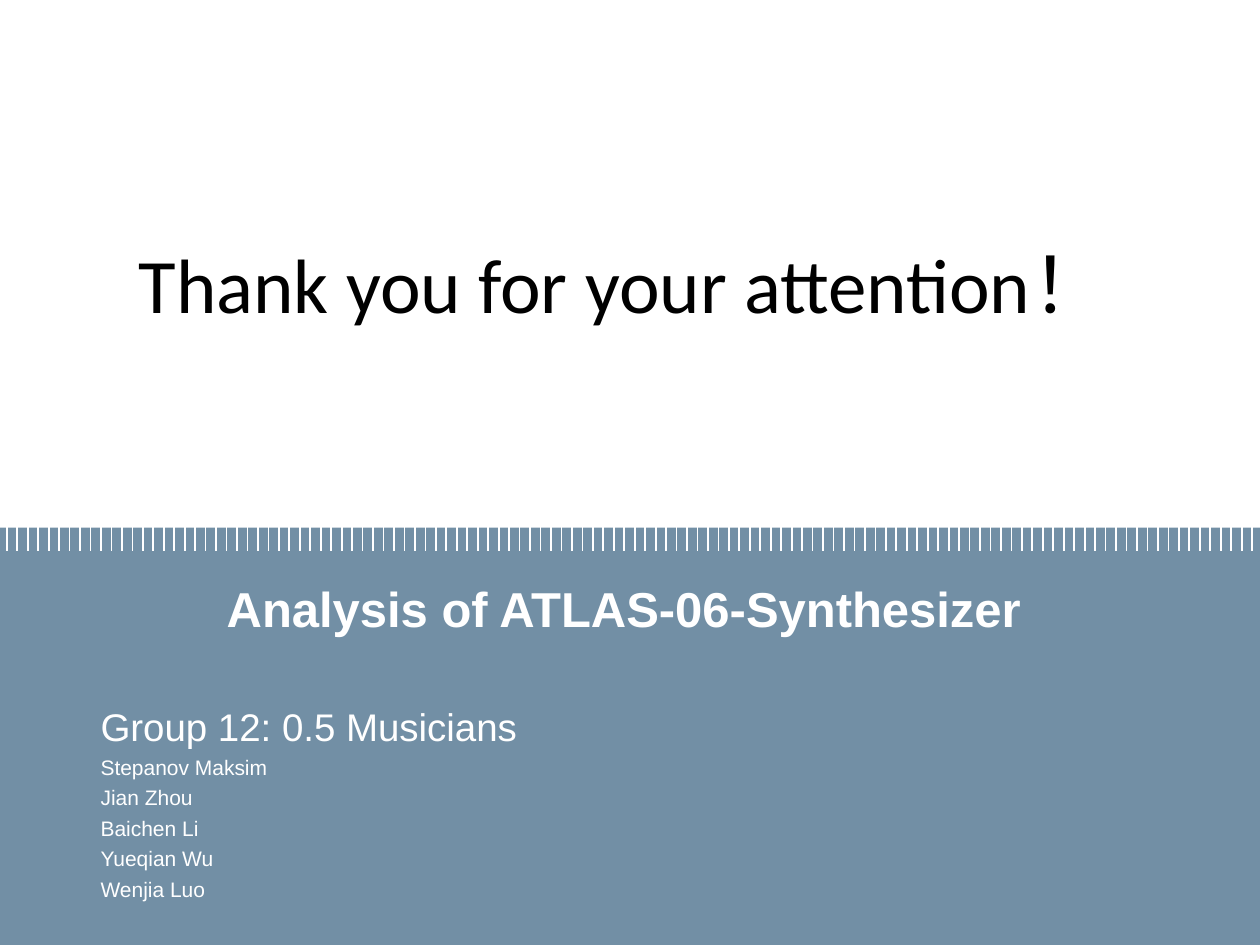
from dataclasses import dataclass

from pptx import Presentation
from pptx.dml.color import RGBColor
from pptx.enum.shapes import MSO_CONNECTOR, MSO_SHAPE
from pptx.enum.text import MSO_ANCHOR, PP_ALIGN
from pptx.oxml.ns import qn
from pptx.util import Pt
from lxml.etree import SubElement


@dataclass(frozen=True)
class Theme:
    band: RGBColor = RGBColor(0x72, 0x8F, 0xA5)
    white: RGBColor = RGBColor(0xFF, 0xFF, 0xFF)
    black: RGBColor = RGBColor(0, 0, 0)
    title_font: str = "Calibri"
    body_font: str = "Arial"
    title_size: int = 44
    heading_size: int = 28
    group_size: int = 22
    name_size: int = 12


theme = Theme()


def place(shape, left, top, width, height):
    """Position a text shape and set it to wrap from the top."""
    shape.left, shape.top = Pt(left), Pt(top)
    shape.width, shape.height = Pt(width), Pt(height)
    shape.text_frame.word_wrap = True
    shape.text_frame.vertical_anchor = MSO_ANCHOR.TOP


def write(paragraph, text, font_name, size, color, bold=False, align=PP_ALIGN.LEFT, before=3):
    paragraph.alignment = align
    paragraph.space_before = Pt(before)
    run = paragraph.add_run()
    run.text = text
    run.font.name = font_name
    run.font.size = Pt(size)
    run.font.bold = bold
    run.font.color.rgb = color


presentation = Presentation()
presentation.slide_width, presentation.slide_height = Pt(720), Pt(540)
slide = presentation.slides.add_slide(presentation.slide_layouts[5])

# Lower colour band
band = slide.shapes.add_shape(MSO_SHAPE.RECTANGLE, Pt(0), Pt(301.5), Pt(720), Pt(238.5))
band.shadow.inherit = False
band.fill.solid()
band.fill.fore_color.rgb = theme.band
band.line.fill.background()

# Comb of white teeth along the band's top edge
TOOTH_COUNT, FIRST_TOOTH, TOOTH_STEP = 120, 3.9, 5.98
comb = slide.shapes.add_group_shape()
for index in range(TOOTH_COUNT):
    x = Pt(FIRST_TOOTH + index * TOOTH_STEP)
    tooth = comb.shapes.add_connector(MSO_CONNECTOR.STRAIGHT, x, Pt(300), x, Pt(315))
    tooth.line.color.rgb = theme.white
    tooth.line.width = Pt(1)
    SubElement(tooth._element.spPr, qn("a:effectLst"))

# Title
title = slide.shapes.title
place(title, 21.6, 131.8, 669.6, 119.5)
write(title.text_frame.paragraphs[0], "Thank you for your attention！", theme.title_font,
      theme.title_size, theme.black, align=PP_ALIGN.CENTER, before=0)

# Project heading
heading = slide.shapes.add_textbox(0, 0, 0, 0)
place(heading, 50.4, 326.9, 612, 76.3)
write(heading.text_frame.paragraphs[0], "Analysis of ATLAS-06-Synthesizer", theme.body_font,
      theme.heading_size, theme.white, bold=True, align=PP_ALIGN.CENTER)

# Group and its members
members = slide.shapes.add_textbox(0, 0, 0, 0)
place(members, 50.4, 398.2, 612, 105.1)
write(members.text_frame.paragraphs[0], "Group 12: 0.5 Musicians", theme.body_font,
      theme.group_size, theme.white)
for name in ("Stepanov Maksim", "Jian Zhou", "Baichen Li", "Yueqian Wu", "Wenjia Luo"):
    write(members.text_frame.add_paragraph(), name, theme.body_font, theme.name_size, theme.white)

presentation.save("out.pptx")
